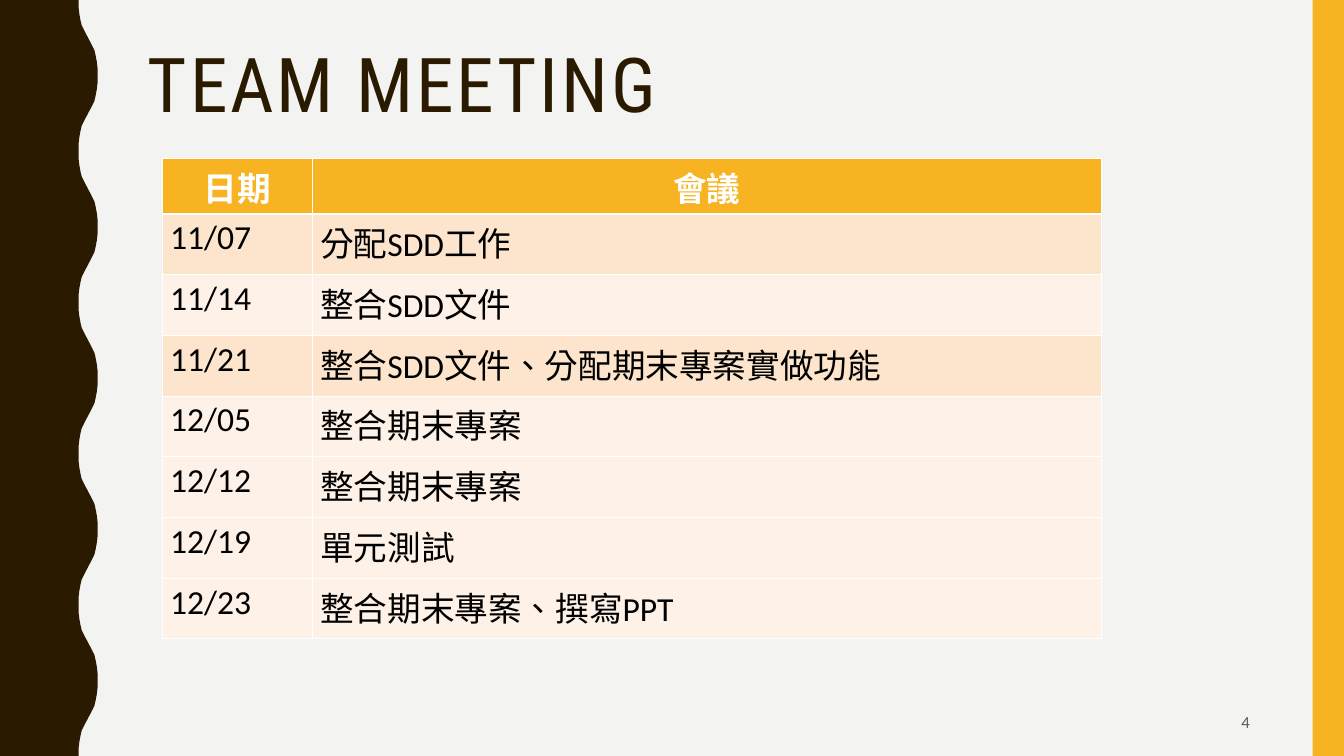
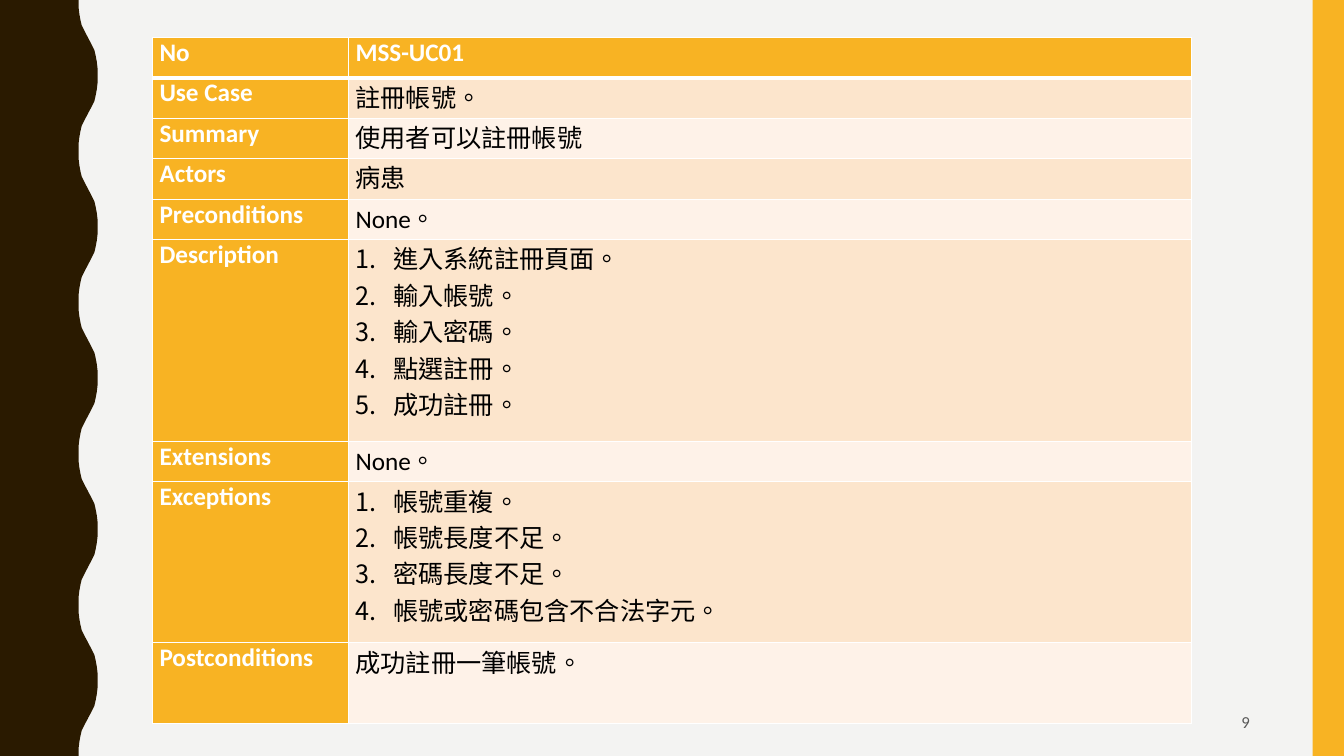
import pptx
import pptx.dml.color
import pptx.enum.lang
import pptx.enum.shapes
import pptx.enum.text
import pptx.oxml.ns
import pptx.util
from lxml import etree

Cm = pptx.util.Cm
ALIGN = pptx.enum.text.PP_ALIGN

SLIDE_WIDTH = 33.87
SLIDE_HEIGHT = 19.05
PAPER = "F3F3F2"
BROWN = "2A1A00"
AMBER = "F8B323"
PEACH = "FCE5CC"
CREAM = "FEF2E8"
GREY = "595959"
WHITE = "FFFFFF"
BLACK = "000000"
BODY_FONT = "Calibri"
TITLE_FONT = "Roboto Condensed"

WAVE_COUNT = 5
WAVE_MIDDLE = 2.22
WAVE_QUARTER = [(1.98, 0), (1.98, 0.18), (2.0, 0.35), (2.03, 0.51),
                (2.06, 0.64), (2.11, 0.74), (2.16, 0.84), (WAVE_MIDDLE, 0.95)]

MEETINGS = [
    ("11/07", "分配SDD工作", PEACH),
    ("11/14", "整合SDD文件", CREAM),
    ("11/21", "整合SDD文件、分配期末專案實做功能", PEACH),
    ("12/05", "整合期末專案", CREAM),
    ("12/12", "整合期末專案", CREAM),
    ("12/19", "單元測試", CREAM),
    ("12/23", "整合期末專案、撰寫PPT", CREAM),
]

USE_CASE = [
    ("Use Case", "註冊帳號。", 1.02),
    ("Summary", "使用者可以註冊帳號", 1.02),
    ("Actors", "病患", 1.02),
    ("Preconditions", "None。", 1.02),
    ("Description", ["進入系統註冊頁面。", "輸入帳號。", "輸入密碼。",
                     "點選註冊。", "成功註冊。"], 5.08),
    ("Extensions", "None。", 1.02),
    ("Exceptions", ["帳號重複。", "帳號長度不足。", "密碼長度不足。",
                    "帳號或密碼包含不合法字元。"], 4.06),
    ("Postconditions", "成功註冊一筆帳號。", 2.03),
]


def rgb(color):
    return pptx.dml.color.RGBColor.from_string(color)


def add_run(paragraph, text, size, color, font=BODY_FONT, bold=False):
    run = paragraph.add_run()
    run.text = text
    run.font.size = pptx.util.Pt(size)
    run.font.name = font
    run.font.bold = bold
    run.font.color.rgb = rgb(color)
    return run


def paint(shape, color):
    shape.shadow.inherit = False
    shape.fill.solid()
    shape.fill.fore_color.rgb = rgb(color)
    shape.line.fill.background()


def wave_points():
    half_height = SLIDE_HEIGHT / WAVE_COUNT / 2
    half = WAVE_QUARTER + [(2 * WAVE_MIDDLE - x, half_height - y)
                           for x, y in reversed(WAVE_QUARTER)]
    period = half + [(x, 2 * half_height - y) for x, y in reversed(half)]
    return [(Cm(x), Cm(y + 2 * half_height * wave))
            for wave in range(WAVE_COUNT) for x, y in period]


def add_wavy_band(slide):
    builder = slide.shapes.build_freeform(0, 0, scale=1.0)
    builder.add_line_segments(wave_points() + [(0, Cm(SLIDE_HEIGHT))], close=True)
    paint(builder.convert_to_shape(), BROWN)


def add_side_band(slide):
    width = 0.79
    band = slide.shapes.add_shape(
        pptx.enum.shapes.MSO_SHAPE.RECTANGLE,
        Cm(SLIDE_WIDTH - width), 0, Cm(width), Cm(SLIDE_HEIGHT))
    paint(band, AMBER)


def add_text_box(slide, left, top, width, height, anchor):
    box = slide.shapes.add_textbox(Cm(left), Cm(top), Cm(width), Cm(height))
    box.text_frame.word_wrap = True
    box.text_frame.vertical_anchor = anchor
    return box.text_frame.paragraphs[0]


def add_page_number(slide, number):
    paragraph = add_text_box(slide, 23.93, 17.7, 7.82, 0.97,
                             pptx.enum.text.MSO_ANCHOR.MIDDLE)
    paragraph.alignment = ALIGN.RIGHT
    add_run(paragraph, str(number), 12, GREY)


def add_title(slide, text):
    paragraph = add_text_box(slide, 3.48, 1.07, 28.27, 4.14,
                             pptx.enum.text.MSO_ANCHOR.TOP)
    paragraph.line_spacing = 0.9
    run = add_run(paragraph, text, 54, BROWN, TITLE_FONT)
    run._r.get_or_add_rPr().set("spc", "200")


def add_slide(presentation, number):
    slide = presentation.slides.add_slide(presentation.slide_layouts[6])
    slide.background.fill.solid()
    slide.background.fill.fore_color.rgb = rgb(PAPER)
    add_wavy_band(slide)
    add_side_band(slide)
    add_page_number(slide, number)
    return slide


def add_table(slide, left, top, widths, heights, margins):
    frame = slide.shapes.add_table(
        len(heights), len(widths), Cm(left), Cm(top),
        Cm(sum(widths)), Cm(sum(heights)))
    table = frame.table
    table.horz_banding = False
    for column, width in zip(table.columns, widths):
        column.width = Cm(width)
    for row, height in zip(table.rows, heights):
        row.height = Cm(height)
    for cell in table.iter_cells():
        cell.margin_left = cell.margin_right = Cm(margins[0])
        cell.margin_top = cell.margin_bottom = Cm(margins[1])
    return table


def set_borders(cell, top, bottom, side):
    properties = cell._tc.get_or_add_tcPr()
    for name, width in (("lnL", side), ("lnR", side), ("lnT", top), ("lnB", bottom)):
        line = etree.SubElement(properties, pptx.oxml.ns.qn(f"a:{name}"),
                                w=str(pptx.util.Pt(width)))
        fill = etree.SubElement(line, pptx.oxml.ns.qn("a:solidFill"))
        etree.SubElement(fill, pptx.oxml.ns.qn("a:srgbClr"), val=WHITE)


def style_borders(table, thin, header_rule):
    for row_index, row in enumerate(table.rows):
        for cell in row.cells:
            set_borders(cell, header_rule if row_index == 1 else thin,
                        header_rule if row_index == 0 else thin, thin)


def number_paragraph(paragraph):
    properties = paragraph._p.get_or_add_pPr()
    indent = Cm(0.95)
    properties.set("marL", str(indent))
    properties.set("indent", str(-indent))
    etree.SubElement(properties, pptx.oxml.ns.qn("a:buAutoNum"), type="arabicPeriod")


def fill_cell(cell, content, size, fill, header=False, alignment=ALIGN.LEFT):
    cell.fill.solid()
    cell.fill.fore_color.rgb = rgb(fill)
    numbered = isinstance(content, list)
    frame = cell.text_frame
    for index, text in enumerate(content if numbered else [content]):
        paragraph = frame.add_paragraph() if index else frame.paragraphs[0]
        if numbered:
            number_paragraph(paragraph)
        paragraph.alignment = alignment
        run = add_run(paragraph, text, size, WHITE if header else BLACK, bold=header)
        run.font.language_id = pptx.enum.lang.MSO_LANGUAGE_ID.TRADITIONAL_CHINESE


def add_meeting_table(slide):
    heights = [1.4] + [1.53] * len(MEETINGS)
    table = add_table(slide, 4.09, 3.99, [3.78, 19.89], heights, (0.2, 0.1))
    style_borders(table, 0.75, 1.64)
    for column, heading in enumerate(("日期", "會議")):
        fill_cell(table.cell(0, column), heading, 24, AMBER, True, ALIGN.CENTER)
    for row, (date, topic, fill) in enumerate(MEETINGS, 1):
        fill_cell(table.cell(row, 0), date, 24, fill)
        fill_cell(table.cell(row, 1), topic, 24, fill)


def add_use_case_table(slide):
    heights = [1.02] + [height for _, _, height in USE_CASE]
    table = add_table(slide, 3.84, 0.94, [4.94, 21.24], heights, (0.18, 0))
    table.first_col = True
    style_borders(table, 1, 3)
    for column, heading in enumerate(("No", "MSS-UC01")):
        fill_cell(table.cell(0, column), heading, 18, AMBER, True)
    for row, (label, content, _) in enumerate(USE_CASE, 1):
        fill_cell(table.cell(row, 0), label, 18, AMBER, True)
        fill_cell(table.cell(row, 1), content, 18, PEACH if row % 2 else CREAM)


def main():
    presentation = pptx.Presentation()
    presentation.slide_width = Cm(SLIDE_WIDTH)
    presentation.slide_height = Cm(SLIDE_HEIGHT)

    meeting_slide = add_slide(presentation, 4)
    add_title(meeting_slide, "TEAM MEETING")
    add_meeting_table(meeting_slide)

    use_case_slide = add_slide(presentation, 9)
    add_use_case_table(use_case_slide)

    presentation.save("out.pptx")


if __name__ == "__main__":
    main()
